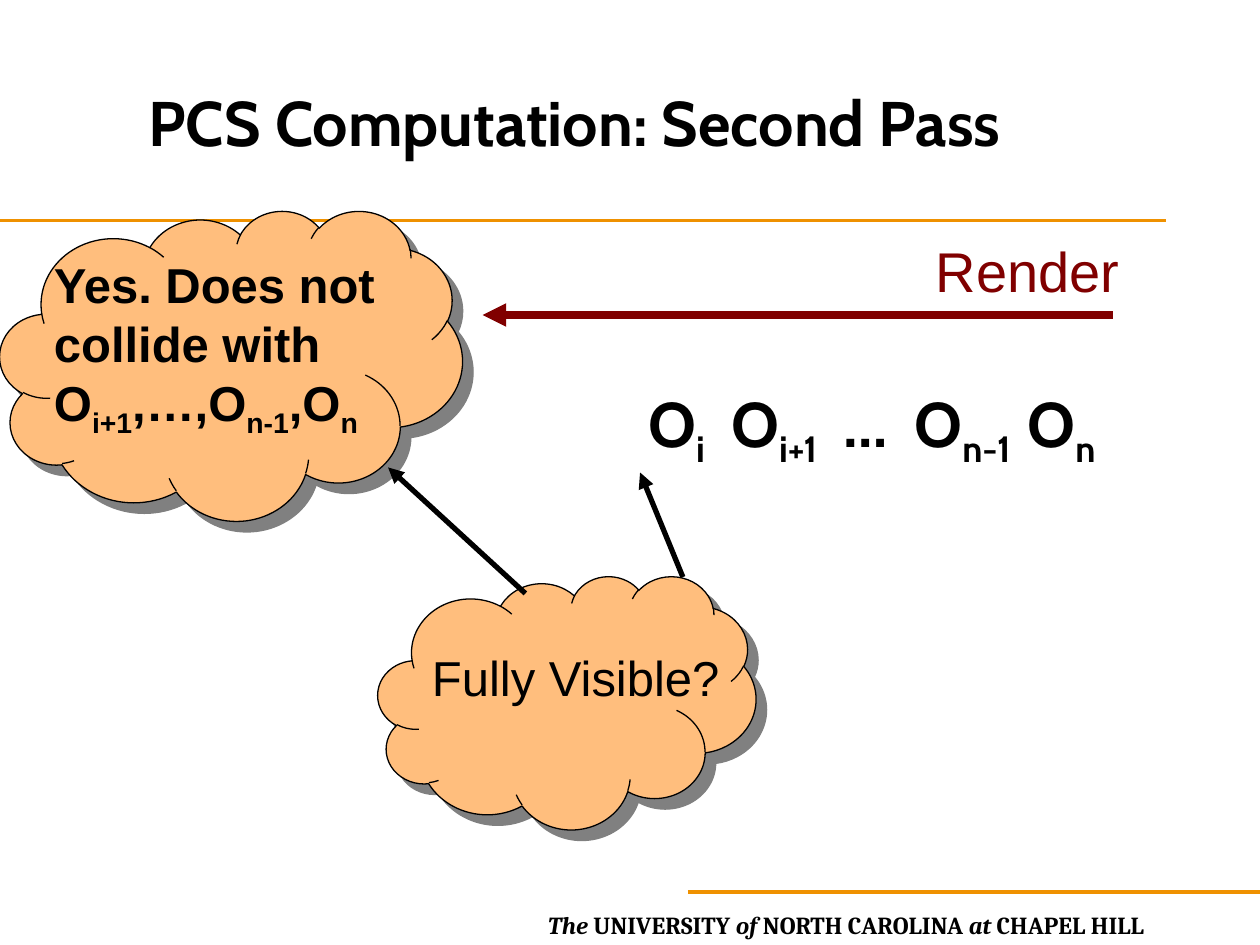
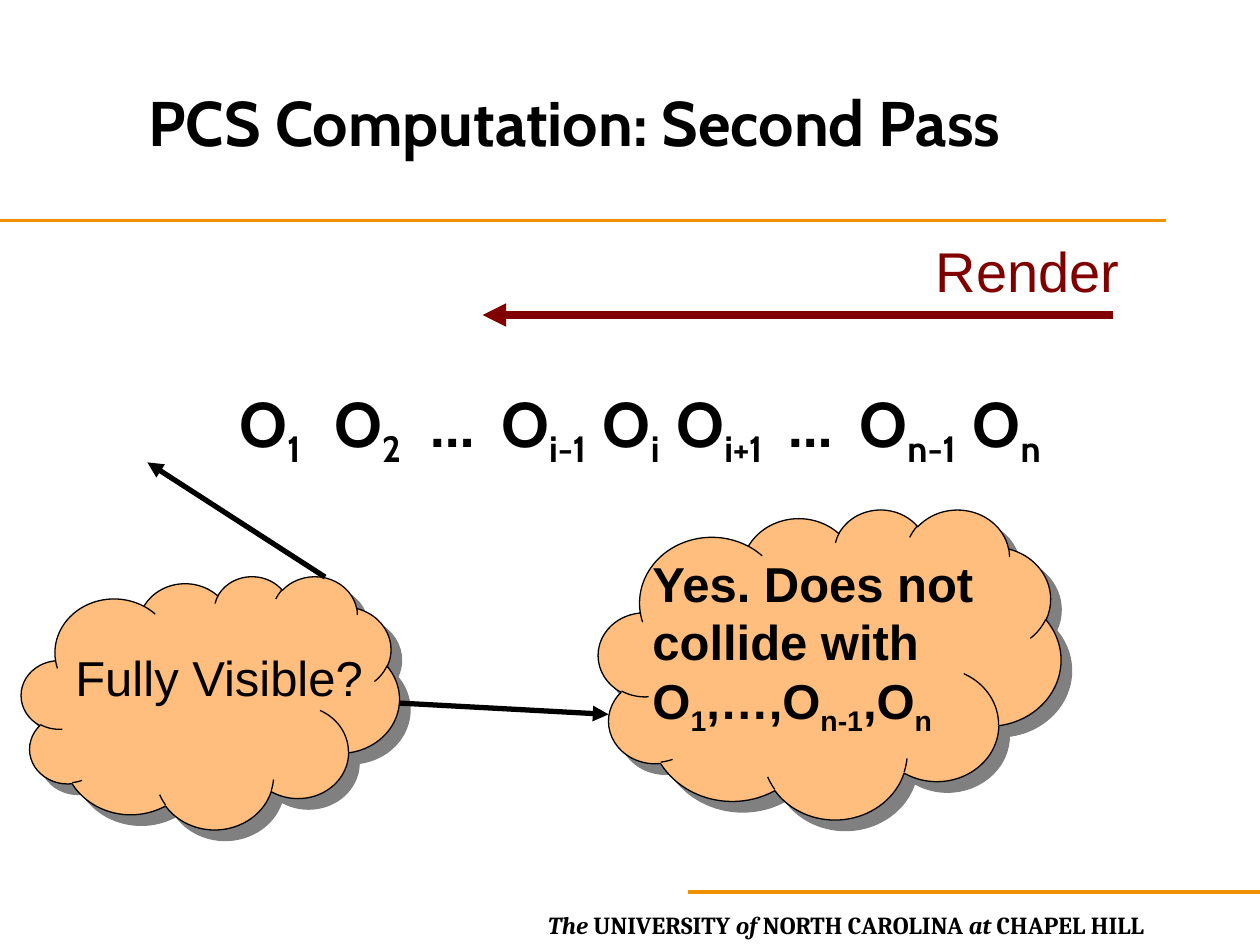
from typing import NamedTuple

from lxml.etree import SubElement
from pptx import Presentation
from pptx.dml.color import RGBColor
from pptx.enum.shapes import MSO_CONNECTOR as CONNECTOR, MSO_SHAPE as SHAPE
from pptx.enum.text import MSO_ANCHOR as ANCHOR, PP_ALIGN as ALIGN
from pptx.oxml.ns import qn
from pptx.util import Inches, Pt

COLORS = {"ink": "000000", "rule": "EF9100", "render": "800000",
          "cloud": "FFBE7D", "shadow": "808080"}


class Span(NamedTuple):
    text: str
    low: bool = False
    italic: bool = False
    spacing: float = 0


class Style(NamedTuple):
    font: str
    size: float
    bold: bool = False
    color: str = "ink"
    before: float = 0
    align: ALIGN = ALIGN.LEFT
    anchor: ANCHOR = ANCHOR.TOP


class Box(NamedTuple):
    left: float
    top: float
    width: float
    height: float

    def lengths(self) -> list:
        return [Inches(value) for value in self]


class Line(NamedTuple):
    start: tuple[float, float]
    end: tuple[float, float]
    color: str = "ink"
    width: float = 3
    arrow: bool = True


class Bubble(NamedTuple):
    cloud: Box
    label: Box
    style: Style
    spans: list[Span]
    pointer: Line


TITLE = Style("Cabin", 36, bold=True, anchor=ANCHOR.MIDDLE)
FOOTER = Style("Cambria", 14, bold=True)
RENDER = Style("Arial", 32, color="render", before=20)
OBJECTS = Style("Cabin", 36, bold=True, before=9, align=ALIGN.CENTER)
QUESTION = Style("Arial", 28, before=17.5)
ANSWER = QUESTION._replace(bold=True)

RULES = [Line((0, 1.75), (9.25, 1.75), "rule", 2, False),
         Line((5.46, 7.08), (10, 7.08), "rule", 2, False)]
RENDER_ARROW = Line((8.83, 2.5), (3.83, 2.5), "render", 4.5)
FOOTER_SPANS = [Span("The", italic=True), Span(" UNIVERSITY "),
                Span("of ", italic=True), Span("NORTH CAROLINA "),
                Span("at ", italic=True), Span("CHAPEL HILL")]

# One space widened by this many points
NARROW, WIDE = Span(" ", spacing=1.5), Span(" ", spacing=7)
WIDER, WIDEST = Span(" ", spacing=8.5), Span(" ", spacing=11)
DOTS = Span("…")


def indexed(index: str) -> list[Span]:
    """The object O with its subscript."""
    return [Span("O"), Span(index, low=True)]


LAST_OBJECTS = [*indexed("i+1"), WIDE, DOTS, WIDE,
                *indexed("n-1"), NARROW, *indexed("n")]


def rgb(name: str) -> RGBColor:
    return RGBColor.from_string(COLORS[name])


def add_text(page, box: Box, style: Style, spans: list[Span]) -> None:
    frame = page.shapes.add_textbox(*box.lengths()).text_frame
    frame.word_wrap = True
    frame.vertical_anchor = style.anchor
    para = frame.paragraphs[0]
    para.alignment = style.align
    para.space_before = Pt(style.before)
    for span in spans:
        run = para.add_run()
        run.text = span.text
        font = run.font
        font.name, font.size = style.font, Pt(style.size)
        font.bold, font.italic = style.bold, span.italic
        font.color.rgb = rgb(style.color)
        properties = run._r.get_or_add_rPr()
        if span.low:
            properties.set("baseline", "-25000")
        if span.spacing:
            properties.set("spc", str(round(span.spacing * 100)))


def add_line(page, line: Line) -> None:
    points = [Inches(value) for value in (*line.start, *line.end)]
    connector = page.shapes.add_connector(CONNECTOR.STRAIGHT, *points)
    connector.line.color.rgb = rgb(line.color)
    connector.line.width = Pt(line.width)
    if line.arrow:
        SubElement(connector.line._get_or_add_ln(), qn("a:tailEnd"), type="triangle")
    SubElement(connector._element.spPr, qn("a:effectLst"))


def add_cloud(page, box: Box) -> None:
    cloud = page.shapes.add_shape(SHAPE.CLOUD, *box.lengths())
    cloud.fill.solid()
    cloud.fill.fore_color.rgb = rgb("cloud")
    cloud.line.color.rgb = rgb("ink")
    cloud.line.width = Pt(0.75)
    cloud.shadow.inherit = False
    effects = cloud._element.spPr.find(qn("a:effectLst"))
    shadow = SubElement(effects, qn("a:outerShdw"), blurRad="0", dist=str(Pt(8.5)),
                        dir=str(45 * 60000), algn="ctr", rotWithShape="0")
    SubElement(shadow, qn("a:srgbClr"), val=COLORS["shadow"])


def add_bubble(page, bubble: Bubble) -> None:
    add_cloud(page, bubble.cloud)
    add_line(page, bubble.pointer)
    add_text(page, bubble.label, bubble.style, bubble.spans)


def question(left: float, pointer: Line) -> Bubble:
    return Bubble(Box(left, 4.57, 3, 2.01), Box(left + 0.33, 5.09, 2.58, 0.57),
                  QUESTION, [Span("Fully Visible?")], pointer)


def answer(left: float, top: float, first: str, pointer: Line) -> Bubble:
    spans = [Span("Yes. Does not collide with "), *indexed(first),
             Span(",…,"), *indexed("n-1"), Span(","), *indexed("n")]
    return Bubble(Box(left, top, 3.67, 2.46), Box(left + 0.33, top + 0.3, 3.08, 1.57),
                  ANSWER, spans, pointer)


def add_page(deck, row: Box, objects: list[Span], bubbles: list[Bubble]) -> None:
    page = deck.slides.add_slide(deck.slide_layouts[6])
    for rule in RULES:
        add_line(page, rule)
    add_text(page, Box(4.25, 7.17, 5.75, 0.34), FOOTER, FOOTER_SPANS)
    add_text(page, Box(1.08, 0.5, 8.08, 0.92), TITLE,
             [Span("PCS Computation: Second Pass")])
    add_line(page, RENDER_ARROW)
    add_text(page, Box(7.33, 1.83, 2.25, 0.64), RENDER, [Span("Render")])
    add_text(page, row, OBJECTS, objects)
    for bubble in bubbles:
        add_bubble(page, bubble)


def main() -> None:
    deck = Presentation()
    deck.slide_width, deck.slide_height = Inches(10), Inches(7.5)
    add_page(deck, Box(3.92, 3, 6, 1.5),
             [*indexed("i"), WIDE, *LAST_OBJECTS],
             [question(3, Line((5.42, 4.58), (5.08, 3.75))),
              answer(0, 1.67, "i+1", Line((4.17, 4.71), (3.08, 3.71)))])
    add_page(deck, Box(0.58, 3, 9, 1.25),
             [*indexed("1"), WIDEST, *indexed("2"), WIDER, DOTS, WIDE,
              *indexed("i-1"), NARROW, *indexed("i"), NARROW, *LAST_OBJECTS],
             [question(0.17, Line((2.58, 4.58), (1.17, 3.67))),
              answer(4.75, 4.04, "1", Line((3.17, 5.58), (4.83, 5.67)))])
    deck.save("out.pptx")


if __name__ == "__main__":
    main()
